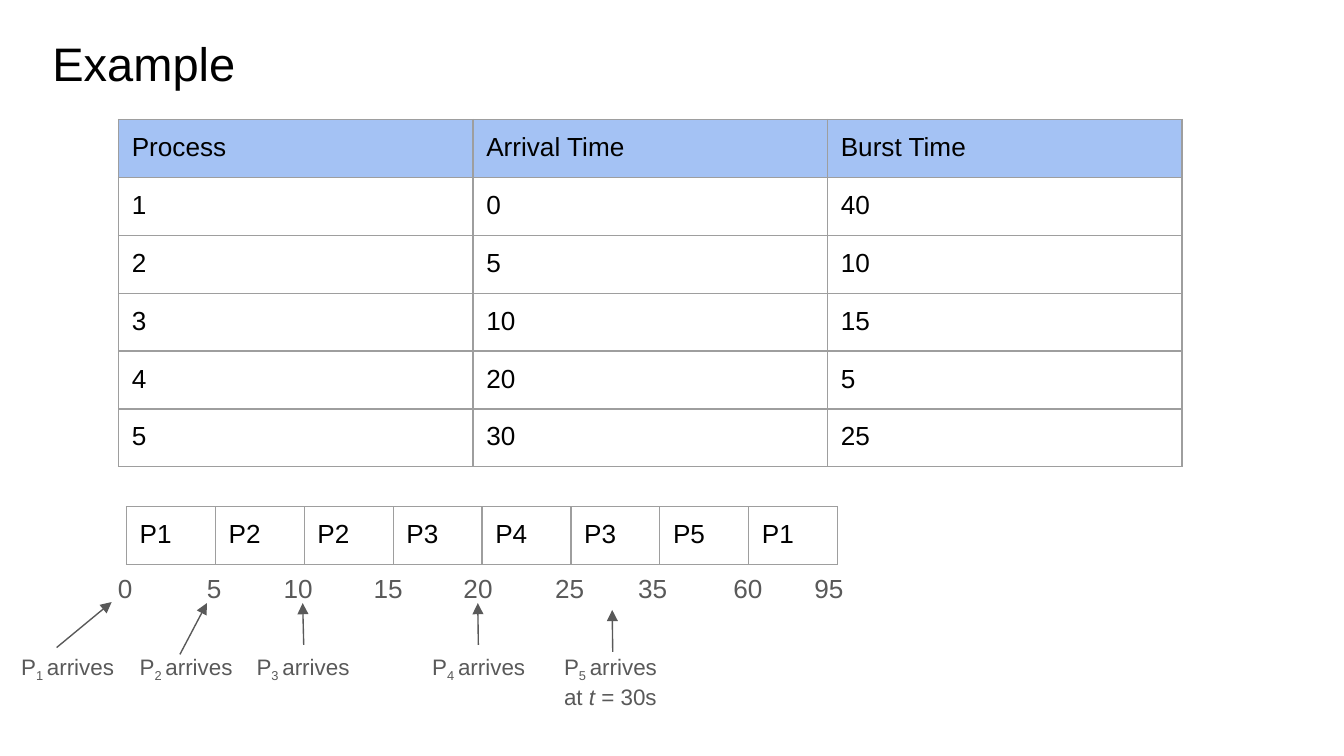
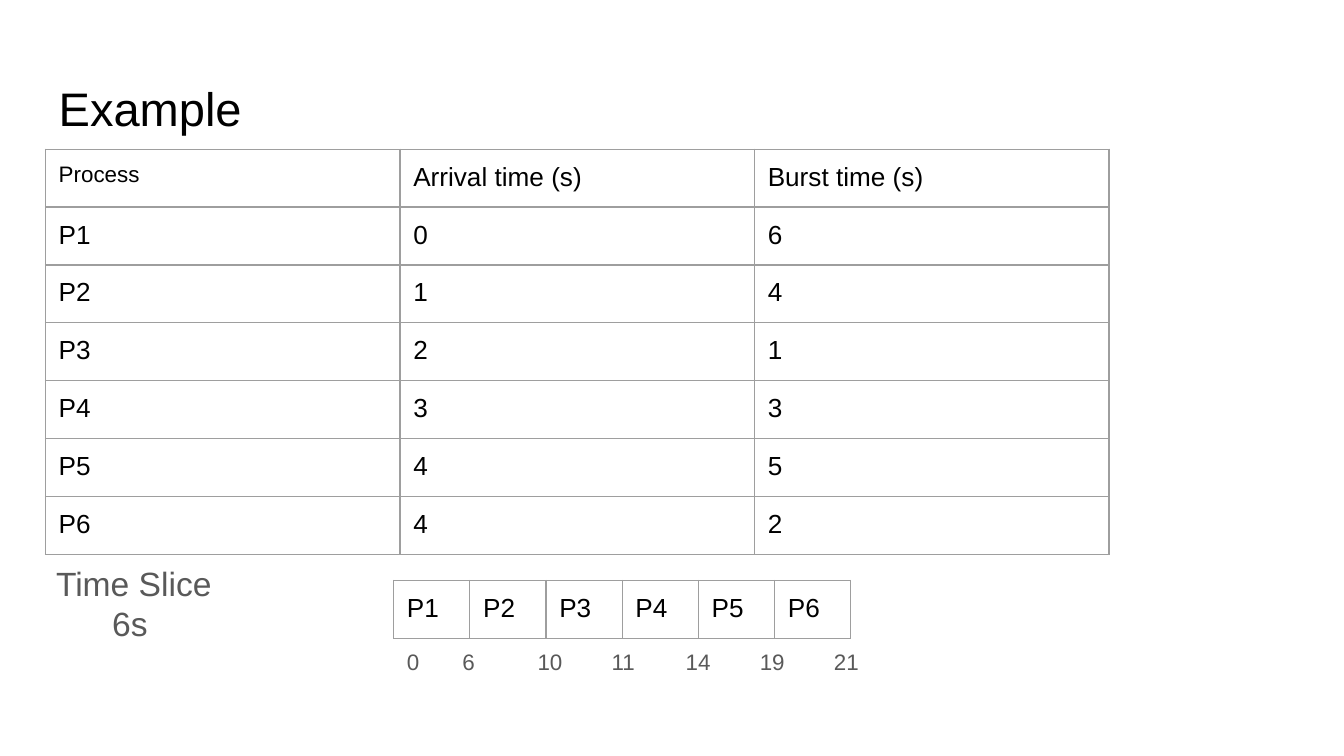
from lxml.etree import SubElement
from pptx import Presentation
from pptx.dml.color import RGBColor
from pptx.enum.shapes import MSO_CONNECTOR
from pptx.enum.text import MSO_ANCHOR
from pptx.oxml.ns import qn
from pptx.util import Cm, Pt

BLACK = RGBColor(0x00, 0x00, 0x00)
GRAY = RGBColor(0x59, 0x59, 0x59)
RULE = RGBColor(0x9E, 0x9E, 0x9E)
HEADER = RGBColor(0xA4, 0xC2, 0xF4)
FONT = "Arial"
INSET = Cm(0.25)
ROW = 1.06
COL = 6.7


def style(r, size, color):
    """Set the font, size and colour of a run."""
    r.font.name = FONT
    r.font.size = Pt(size)
    r.font.color.rgb = color


def add_text(s, left, top, width, height, text, size, color=GRAY):
    """Add a wrapped text box and return its text frame."""
    tf = s.shapes.add_textbox(Cm(left), Cm(top), Cm(width), Cm(height)).text_frame
    tf.word_wrap = True
    tf.margin_left = tf.margin_right = tf.margin_top = tf.margin_bottom = INSET
    tf.text = text
    for p in tf.paragraphs:
        for r in p.runs:
            style(r, size, color)
    return tf


def add_title(s, left, top, text):
    """Add the slide title."""
    tf = add_text(s, left, top, 23.67, 1.6, text, 25.2, BLACK)
    tf.vertical_anchor = MSO_ANCHOR.MIDDLE


def add_borders(cell):
    """Draw a thin rule on all four sides of a cell."""
    tcPr = cell._tc.get_or_add_tcPr()
    for side in ("a:lnL", "a:lnR", "a:lnT", "a:lnB"):
        ln = SubElement(tcPr, qn(side), w=str(Pt(0.75)))
        fill = SubElement(ln, qn("a:solidFill"))
        SubElement(fill, qn("a:srgbClr"), val=str(RULE))


def add_grid(s, left, top, col_width, rows, header=None):
    """Add a ruled table with equal columns and an optional header fill."""
    n_rows, n_cols = len(rows), len(rows[0])
    table = s.shapes.add_table(n_rows, n_cols, Cm(left), Cm(top),
                               Cm(col_width * n_cols), Cm(ROW * n_rows)).table
    table.first_row = table.horz_banding = False
    for col in table.columns:
        col.width = Cm(col_width)
    for i, row in enumerate(rows):
        table.rows[i].height = Cm(ROW)
        for j, text in enumerate(row):
            cell = table.cell(i, j)
            cell.margin_left = cell.margin_right = INSET
            cell.margin_top = cell.margin_bottom = INSET
            cell.text = text
            style(cell.text_frame.paragraphs[0].runs[0], 14, BLACK)
            add_borders(cell)
            if header is not None and i == 0:
                cell.fill.solid()
                cell.fill.fore_color.rgb = header
            else:
                cell.fill.background()
    return table


def add_arrow(s, x1, y1, x2, y2):
    """Add a thin line with an arrowhead at its end."""
    line = s.shapes.add_connector(MSO_CONNECTOR.STRAIGHT,
                                  Cm(x1), Cm(y1), Cm(x2), Cm(y2))
    line.line.color.rgb = GRAY
    line.line.width = Pt(0.75)
    SubElement(line.line._get_or_add_ln(), qn("a:tailEnd"), type="triangle")
    SubElement(line._element.spPr, qn("a:effectLst"))


def add_arrival(s, left, top, number, note=None):
    """Add the label of an arriving process, with an optional time in seconds."""
    tf = add_text(s, left, top, 2.54 if note else 2.34, 1.27, "P", 12)
    p = tf.paragraphs[0]
    parts = [(f"{number} ", "sub"), ("arrives", None)]
    if note:
        parts += [(" at ", None), ("t ", "italic"), (f"= {note}", None)]
    for text, kind in parts:
        r = p.add_run()
        r.text = text
        style(r, 12, GRAY)
        if kind == "sub":
            r.font._element.set("baseline", "-25000")
        elif kind == "italic":
            r.font.italic = True


def add_arrival_timeline(s, left, top):
    """Add the schedule strip, its time marks and the arrivals below it."""
    add_grid(s, left, top, 1.68, [["P1", "P2", "P2", "P3", "P4", "P3", "P5", "P1"]])
    marks = [("0", -0.41), ("5", 1.27), ("10", 2.72), ("15", 4.42), ("20", 6.12),
             ("25", 7.85), ("35", 9.42), ("60", 11.22), ("95", 12.75)]
    for text, dx in marks:
        add_text(s, left + dx, top + 0.99, 0.74 if len(text) == 1 else 1.5, 0.69, text, 14)
    arrivals = [(-2.24, (-1.32, 2.66), (-0.28, 1.8), None),
                (0, (1.01, 2.79), (1.52, 1.82), None),
                (2.21, (3.35, 2.61), (3.33, 1.82), None),
                (5.53, (6.65, 2.61), (6.64, 1.82), None),
                (8.02, (9.19, 2.74), (9.18, 1.95), "30s")]
    for number, (dx, start, end, note) in enumerate(arrivals, 1):
        add_arrow(s, left + start[0], top + start[1], left + end[0], top + end[1])
        add_arrival(s, left + dx, top + 2.51, number, note)


def add_slice_timeline(s, left, top):
    """Add the schedule strip with one tabbed line of times under it."""
    add_grid(s, left, top, 1.44, [[f"P{i}" for i in range(1, 7)]])
    tf = add_text(s, left, top + 1.04, 9.22, 0.66, "0\t6\t10\t11\t14\t19\t21", 12)
    tabs = SubElement(tf.paragraphs[0]._p.get_or_add_pPr(), qn("a:tabLst"))
    for stop in [1.05] + [2.47 + 1.4 * i for i in range(5)]:
        SubElement(tabs, qn("a:tab"), pos=str(Cm(stop)), algn="l")


def add_slice_label(s, left, top):
    """Add the time slice with its value indented on the second line."""
    tf = add_text(s, left, top, 3.63, 2.67, "Time Slice\n6s", 18)
    tf.paragraphs[1]._p.get_or_add_pPr().set("marL", str(Cm(1.06)))


def build_arrival_slide(prs):
    """Build the slide with marked arrivals."""
    s = prs.slides.add_slide(prs.slide_layouts[6])
    add_title(s, 0.74, 0.38, "Example")
    add_grid(s, 2.24, 2.26, COL, [
        ["Process", "Arrival Time", "Burst Time"],
        ["1", "0", "40"],
        ["2", "5", "10"],
        ["3", "10", "15"],
        ["4", "20", "5"],
        ["5", "30", "25"],
    ], HEADER)
    add_arrival_timeline(s, 2.39, 9.58)


def build_slice_slide(prs):
    """Build the slide with a fixed time slice."""
    s = prs.slides.add_slide(prs.slide_layouts[6])
    add_title(s, 0.86, 1.24, "Example")
    table = add_grid(s, 0.86, 2.82, COL, [
        ["Process", "Arrival time (s)", "Burst time (s)"],
        ["P1", "0", "6"],
        ["P2", "1", "4"],
        ["P3", "2", "1"],
        ["P4", "3", "3"],
        ["P5", "4", "5"],
        ["P6", "4", "2"],
    ])
    table.cell(0, 0).text_frame.paragraphs[0].runs[0].font.size = Pt(12)
    add_slice_label(s, 0.81, 10.39)
    add_slice_timeline(s, 7.44, 10.97)


prs = Presentation()
prs.slide_width, prs.slide_height = Cm(25.4), Cm(14.29)
build_arrival_slide(prs)
build_slice_slide(prs)
prs.save("out.pptx")
